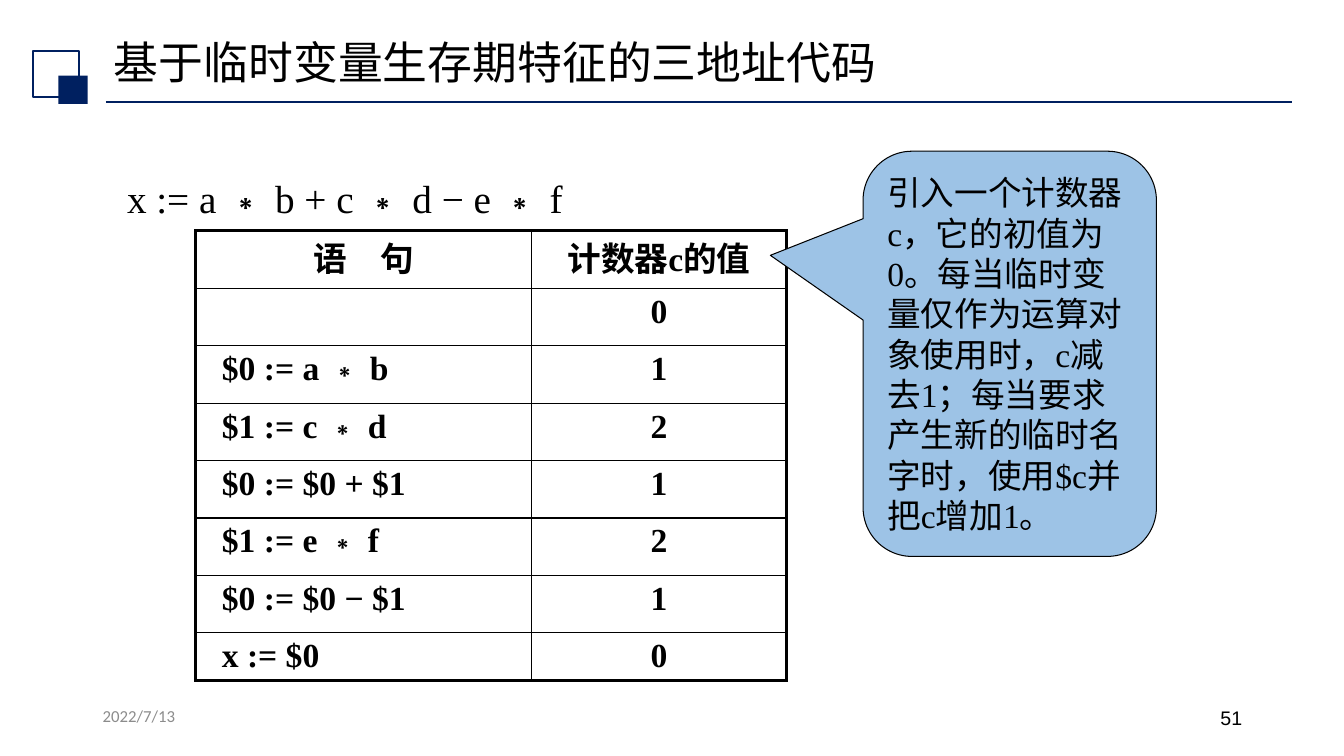
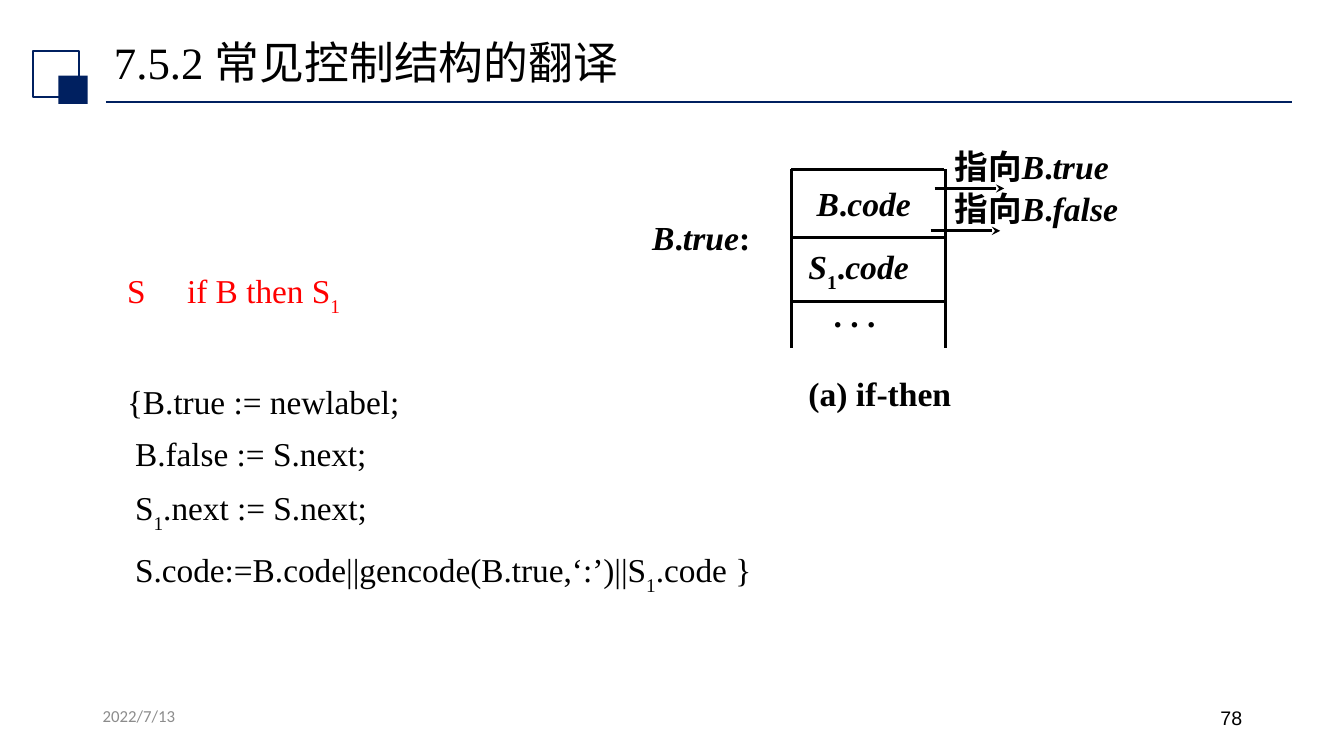
from lxml.etree import SubElement
from pptx import Presentation
from pptx.dml.color import RGBColor
from pptx.enum.shapes import MSO_CONNECTOR as CONNECTOR, MSO_SHAPE as SHAPE
from pptx.enum.text import MSO_ANCHOR as ANCHOR, MSO_AUTO_SIZE as AUTO_SIZE, PP_ALIGN as ALIGN
from pptx.oxml.ns import qn
from pptx.util import Pt

PX = 9144  # 100 px to the inch
COLOURS = {name: RGBColor.from_string(code) for name, code in {
    "navy": "002060", "black": "000000", "grey": "8C8C8C",
    "red": "FF0000", "callout": "9DC3E6"}.items()}
SERIF = "Times New Roman"
EAST_ASIAN = "Arial"


def write(paragraph, pieces, size, colour="black", bold=False, font=SERIF):
    """Fill a paragraph; a piece is (text, flags): i for italic, _ for subscript."""
    for text, flags in pieces:
        run = paragraph.add_run()
        run.text = text
        run.font.size = Pt(size)
        run.font.name = font
        run.font.bold = bold
        run.font.italic = "i" in flags
        run.font.color.rgb = COLOURS[colour]
        properties = run.font._element
        SubElement(properties, qn("a:ea")).set("typeface", EAST_ASIAN)
        if "_" in flags:
            properties.set("baseline", "-30000")


def add_line(slide, points, colour="black", width=2, arrow=False):
    line = slide.shapes.add_connector(CONNECTOR.STRAIGHT, *[value * PX for value in points])
    line.line.color.rgb = COLOURS[colour]
    line.line.width = Pt(width)
    if arrow:
        SubElement(line.line._get_or_add_ln(), qn("a:tailEnd")).set("type", "stealth")
    SubElement(line._element.spPr, qn("a:effectLst"))


presentation = Presentation()
presentation.slide_width = 1333 * PX
presentation.slide_height = 750 * PX

# Text of the two slides: title, page number, body top, body lines
# A body line is pieces, size, colour, line height, space before, indent
PAGES = [
    ("基于临时变量生存期特征的三地址代码", "51", 156, [
        ([("x := a ∗ b + c ∗ d − e ∗ f", "")], 28, "black", 42, 0, 0)]),
    ("7.5.2 常见控制结构的翻译", "78", 260, [
        ([("S 　if B then S", ""), ("1", "_")], 23.8, "red", 36, 0, 0),
        ([("{B.true := newlabel;", "")], 23.8, "black", 36, 38, 0),
        ([("B.false := S.next;", "")], 23.8, "black", 36, 1, 8),
        ([("S", ""), ("1", "_"), (".next := S.next;", "")], 23.8, "black", 36, 8, 8),
        ([("S.code:=B.code||gencode(B.true,‘:’)||S", ""), ("1", "_"), (".code }", "")],
         23.8, "black", 36, 8, 8)]),
]

# Shared frame, title, body and footer
slides = []
for title_text, number, body_top, lines in PAGES:
    slide = presentation.slides.add_slide(presentation.slide_layouts[1])
    slides.append(slide)
    add_line(slide, (105, 101, 1281, 101), "navy", 1.25)
    for left, top, width, height, filled in [(33, 51, 45, 45, False), (58, 75, 29, 28, True)]:
        square = slide.shapes.add_shape(
            SHAPE.RECTANGLE, left * PX, top * PX, width * PX, height * PX)
        square.shadow.inherit = False
        if filled:
            square.fill.solid()
            square.fill.fore_color.rgb = COLOURS["navy"]
            square.line.fill.background()
        else:
            square.fill.background()
            square.line.color.rgb = COLOURS["navy"]
            square.line.width = Pt(1.5)

    title, body = slide.placeholders
    title.left, title.top, title.width, title.height = 103 * PX, 34 * PX, 1150 * PX, 61 * PX
    title.text_frame.vertical_anchor = ANCHOR.MIDDLE
    title.text_frame.auto_size = AUTO_SIZE.NONE
    paragraph = title.text_frame.paragraphs[0]
    paragraph.alignment = ALIGN.LEFT
    paragraph.line_spacing = 0.9
    write(paragraph, [(title_text, "")], 32)

    body.left, body.top, body.width = 116 * PX, body_top * PX, 1070 * PX
    body.height = (609 - body_top) * PX
    body.text_frame.auto_size = AUTO_SIZE.NONE
    for index, (pieces, size, colour, line_height, space, indent) in enumerate(lines):
        paragraph = body.text_frame.add_paragraph() if index else body.text_frame.paragraphs[0]
        paragraph.line_spacing = Pt(line_height)
        paragraph.space_before = Pt(space)
        properties = paragraph._p.get_or_add_pPr()
        properties.set("marL", str(indent * PX))
        properties.set("indent", "0")
        SubElement(properties, qn("a:buNone"))
        write(paragraph, pieces, size, colour)

    for left, text, align, size, colour, font in [
            (92, "2022/7/13", ALIGN.LEFT, 12, "grey", "Calibri"),
            (942, number, ALIGN.RIGHT, 14, "black", "Arial")]:
        footer = slide.shapes.add_textbox(left * PX, 695 * PX, 300 * PX, 40 * PX)
        footer.text_frame.word_wrap = True
        paragraph = footer.text_frame.paragraphs[0]
        paragraph.alignment = align
        write(paragraph, [(text, "")], size, colour, font=font)

counter_slide, control_slide = slides

# Slide 1: table of statements and counter values
ROWS = [
    ("语　句", "计数器c的值"), ("", "0"), ("$0 := a ∗ b", "1"), ("$1 := c ∗ d", "2"),
    ("$0 := $0 + $1", "1"), ("$1 := e ∗ f", "2"), ("$0 := $0 − $1", "1"), ("x := $0", "0")]
table = counter_slide.shapes.add_table(
    len(ROWS), 2, 194 * PX, 229 * PX, 586 * PX, 446 * PX).table
table.first_row = table.horz_banding = False
table.columns[0].width = 333 * PX
table.columns[1].width = 253 * PX
last = len(ROWS) - 1
for row, values in enumerate(ROWS):
    table.rows[row].height = (47 if row == last else 57) * PX
    for column, text in enumerate(values):
        cell = table.cell(row, column)
        if row == 0:
            cell.vertical_anchor = ANCHOR.MIDDLE
        elif row == last:
            cell.margin_bottom = 0
        paragraph = cell.text_frame.paragraphs[0]
        if row == 0 or column == 1:
            paragraph.alignment = ALIGN.CENTER
        else:
            cell.margin_left = 26 * PX
        if text:
            write(paragraph, [(text, "")], 24, bold=True)
        # Thick border round the table, thin lines inside
        properties = cell._tc.get_or_add_tcPr()
        for side, outer in [("L", column == 0), ("R", column == 1),
                            ("T", row == 0), ("B", row == last)]:
            border = SubElement(properties, qn("a:ln" + side))
            border.set("w", str(Pt(2.25 if outer else 1)))
            fill = SubElement(border, qn("a:solidFill"))
            SubElement(fill, qn("a:srgbClr")).set("val", str(COLOURS["black"]))
        cell.fill.background()

# Slide 1: callout
callout = counter_slide.shapes.add_shape(
    SHAPE.ROUNDED_RECTANGULAR_CALLOUT, 856 * PX, 150 * PX, 291 * PX, 402 * PX)
for index, value in enumerate([-0.816, -0.243, 0.167]):
    callout.adjustments[index] = value
callout.shadow.inherit = False
callout.fill.solid()
callout.fill.fore_color.rgb = COLOURS["callout"]
callout.line.color.rgb = COLOURS["black"]
callout.line.width = Pt(0.75)
callout.text_frame.word_wrap = True
callout.text_frame.vertical_anchor = ANCHOR.MIDDLE
paragraph = callout.text_frame.paragraphs[0]
paragraph.alignment = ALIGN.LEFT
paragraph.line_spacing = Pt(28.8)
write(paragraph, [(
    "引入一个计数器c，它的初值为0。每当临时变量仅作为运算对象使用时，"
    "c减去1；每当要求产生新的临时名字时，使用$c并把c增加1。", "")], 24)

# Slide 2: code layout of if-then
for points in [(785, 168, 785, 345), (938, 168, 938, 345), (785, 168, 936, 168),
               (785, 236, 936, 236), (787, 299, 938, 299)]:
    add_line(control_slide, points)
for left, top in [(923, 229), (927, 187)]:
    add_line(control_slide, (left, top, left + 69, top), arrow=True)

LABELS = [
    (800, 177, 161, [("B", "i"), (".", ""), ("code", "i")]),
    (792, 239, 183, [("S", "i"), ("1", "_"), (".", ""), ("code", "i")]),
    (637, 210, 160, [("B", "i"), (".", ""), ("true", "i"), (":", "")]),
    (817, 287, 107, [(". . .", "")]),
    (937, 140, 206, [("指向", ""), ("B", "i"), (".", ""), ("true", "i")]),
    (937, 182, 222, [("指向", ""), ("B", "i"), (".", ""), ("false", "i")]),
    (792, 365, 240, [("(a) if-then", "")]),
]
for left, top, width, pieces in LABELS:
    label = control_slide.shapes.add_textbox(left * PX, top * PX, width * PX, 50 * PX)
    label.text_frame.word_wrap = True
    write(label.text_frame.paragraphs[0], pieces, 24, bold=True)

presentation.save("out.pptx")
